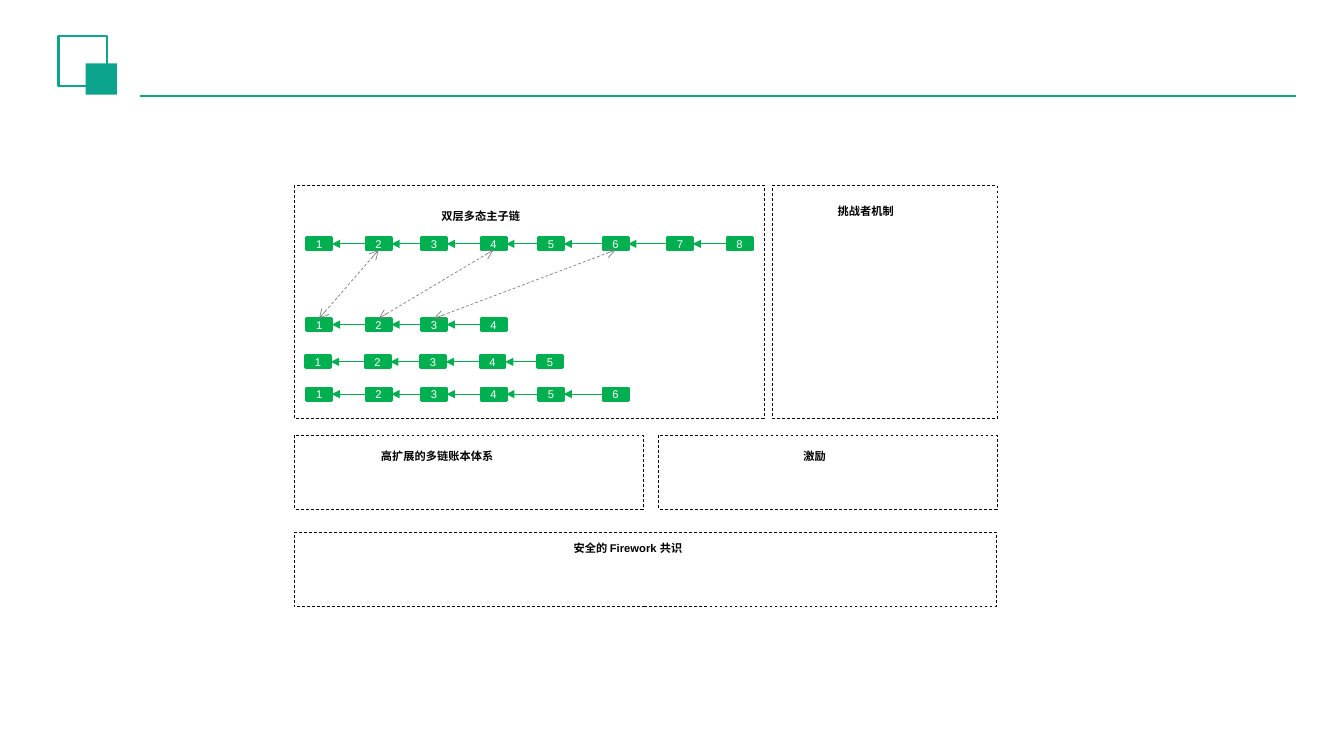
from lxml import etree
from pptx import Presentation
from pptx.dml.color import RGBColor
from pptx.enum.dml import MSO_LINE
from pptx.enum.shapes import MSO_CONNECTOR, MSO_SHAPE
from pptx.enum.text import MSO_ANCHOR, PP_ALIGN
from pptx.oxml.ns import qn
from pptx.util import Inches, Pt

RECT = MSO_SHAPE.RECTANGLE
STRAIGHT = MSO_CONNECTOR.STRAIGHT
DASH = MSO_LINE.DASH
MIDDLE = MSO_ANCHOR.MIDDLE
CENTER = PP_ALIGN.CENTER

TEAL = RGBColor(0x0C, 0xA4, 0x8D)
GREEN = RGBColor(0x00, 0xB0, 0x50)
GRAY = RGBColor(0x80, 0x80, 0x80)
BLACK = RGBColor(0x00, 0x00, 0x00)
WHITE = RGBColor(0xFF, 0xFF, 0xFF)

TOP, LEFT, BOTTOM, RIGHT = range(4)
STEPS = [3.04, 3.63, 4.18, 4.77, 5.34, 5.98, 6.62, 7.21]

# Each chain: left shift, top, number of blocks
MAIN = (0, 2.36, 8)
SUBS = [(0, 3.16, 4), (-0.01, 3.53, 5), (0, 3.85, 6)]

FRAMES = [
    (2.92, 1.84, 4.66, 2.31),
    (7.66, 1.84, 2.23, 2.31),
    (2.92, 4.32, 3.46, 0.73),
    (6.53, 4.32, 3.36, 0.73),
    (2.92, 5.28, 6.96, 0.74),
]
LABELS = [
    ("双层多态主子链", 4.28, 2.03, 1.7),
    ("挑战者机制", 8.21, 1.98, 1.18),
    ("高扩展的多链账本体系", 3.68, 4.41, 1.32),
    ("激励", 7.87, 4.41, 1.39),
    ("安全的 Firework 共识", 5.59, 5.32, 1.39),
]


class Board:
    def __init__(self, slide):
        self.shapes = slide.shapes
        self.font = "Arial"
        self.size = Pt(8)

    def style(self, para, color, bold=False):
        font = para.font
        font.name, font.size, font.bold = self.font, self.size, bold
        font.color.rgb = color

    def box(self, x, y, w, h, fill=None, line=None, width=1.0, dash=None):
        shape = self.shapes.add_shape(
            RECT, Inches(x), Inches(y), Inches(w), Inches(h))
        shape.shadow.inherit = False
        if fill is None:
            shape.fill.background()
        else:
            shape.fill.solid()
            shape.fill.fore_color.rgb = fill
        if line is None:
            shape.line.fill.background()
        else:
            shape.line.color.rgb = line
            shape.line.width = Pt(width)
            shape.line.dash_style = dash
        return shape

    def block(self, x, y, num):
        shape = self.box(x, y, 0.25, 0.12, GREEN, GREEN, 2)
        frame = shape.text_frame
        frame.margin_left = frame.margin_right = 0
        frame.margin_top = frame.margin_bottom = 0
        frame.vertical_anchor = MIDDLE
        para = frame.paragraphs[0]
        para.text = str(num)
        para.alignment = CENTER
        self.style(para, WHITE)
        return shape

    def line(self, color, width, start=(0, 0), end=(0, 0), dash=None):
        link = self.shapes.add_connector(
            STRAIGHT, *[Inches(v) for v in (*start, *end)])
        link.line.color.rgb = color
        link.line.width = Pt(width)
        link.line.dash_style = dash
        etree.SubElement(link._element.spPr, qn("a:effectLst"))
        return link

    def arrow(self, src, side, dest, port, color, width, dash=None, **ends):
        """Join two blocks; ends maps headEnd or tailEnd to an arrow type."""
        link = self.line(color, width, dash=dash)
        link.begin_connect(src, side)
        link.end_connect(dest, port)
        ln = link.line._get_or_add_ln()
        for tag, kind in ends.items():
            etree.SubElement(ln, qn(f"a:{tag}"), type=kind)

    def chain(self, shift, y, count):
        """Draw numbered blocks, each pointing back to the one before."""
        row = [self.block(x + shift, y, num)
               for num, x in enumerate(STEPS[:count], 1)]
        for prev, cur in zip(row, row[1:]):
            self.arrow(cur, LEFT, prev, RIGHT, GREEN, 0.75,
                       tailEnd="triangle")
        return row

    def label(self, text, x, y, w):
        area = self.shapes.add_textbox(
            Inches(x), Inches(y), Inches(w), Inches(0.24))
        area.text_frame.word_wrap = True
        para = area.text_frame.paragraphs[0]
        para.text = text
        self.style(para, BLACK, True)


def main():
    deck = Presentation()
    deck.slide_width, deck.slide_height = Inches(13.33), Inches(7.5)
    board = Board(deck.slides.add_slide(deck.slide_layouts[6]))

    board.line(TEAL, 1.25, (1.39, 0.95), (12.85, 0.95))
    board.box(0.58, 0.36, 0.48, 0.49, WHITE, TEAL, 1.5)
    board.box(0.85, 0.63, 0.31, 0.31, TEAL)

    for frame in FRAMES:
        board.box(*frame, line=BLACK, width=0.5, dash=DASH)
    for label in LABELS:
        board.label(*label)

    subs = [board.chain(*sub) for sub in SUBS]
    upper = board.chain(*MAIN)
    # Blocks of the first subchain anchor to every second main block
    for low, high in zip(subs[0], upper[1:6:2]):
        board.arrow(low, TOP, high, BOTTOM, GRAY, 0.5, DASH,
                    headEnd="arrow", tailEnd="arrow")

    deck.save("out.pptx")


if __name__ == "__main__":
    main()
